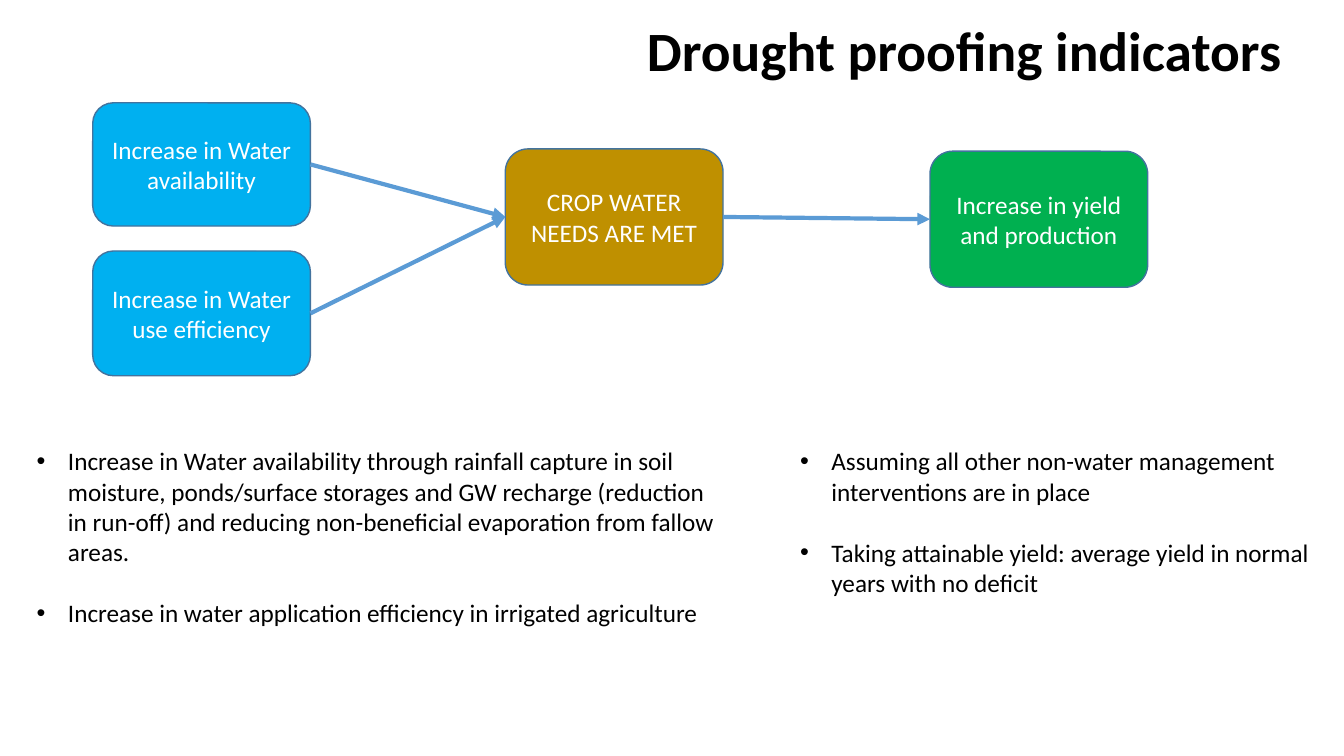
"""Build the slide on drought proofing indicators."""
from lxml.etree import SubElement
from pptx import Presentation
from pptx.dml.color import RGBColor
from pptx.enum.shapes import MSO_CONNECTOR, MSO_SHAPE
from pptx.enum.text import MSO_ANCHOR, MSO_AUTO_SIZE, PP_ALIGN
from pptx.oxml.ns import qn
from pptx.util import Inches, Pt


def color(code):
    return RGBColor.from_string(code)


def write(shape, *lines, size=18, ink="000000", bold=False, align=PP_ALIGN.LEFT,
          anchor=MSO_ANCHOR.TOP, bullet=False, gap=0, pitch=None):
    frame = shape.text_frame
    frame.word_wrap = True
    frame.auto_size = MSO_AUTO_SIZE.NONE
    frame.vertical_anchor = anchor
    for i, line in enumerate(lines):
        para = frame.add_paragraph() if i else frame.paragraphs[0]
        para.alignment = align
        para.line_spacing = pitch
        if i:
            para.space_before = Pt(gap)
        if bullet:
            props = para._p.get_or_add_pPr()
            props.set("marL", str(Inches(0.31)))
            props.set("indent", str(-Inches(0.31)))
            SubElement(props, qn("a:buFont"), typeface="Arial")
            SubElement(props, qn("a:buChar"), char="•")
        run = para.add_run()
        run.text = line
        font = run.font
        font.name, font.size, font.bold = "Calibri", Pt(size), bold
        font.color.rgb = color(ink)


deck = Presentation()
deck.slide_width, deck.slide_height = 12192000, 6858000
col, row = deck.slide_width // 1000, deck.slide_height // 1000
slide = deck.slides.add_slide(deck.slide_layouts[5])
shapes = slide.shapes

title = shapes.title
title.left, title.top = 98 * col, 24 * row
title.width, title.height = 863 * col, 109 * row
write(title, "Drought proofing indicators", size=39.6, bold=True,
      align=PP_ALIGN.RIGHT, pitch=0.9)

boxes = {}
for key, x, y, high, fill, text in (
    ("supply", 69, 136, 163, "00B0F0", "Increase in Water availability"),
    ("needs", 376, 197, 180, "BF9000", "CROP WATER NEEDS ARE MET"),
    ("yield", 692, 200, 180, "00B050", "Increase in yield and production"),
    ("use", 69, 332, 165, "00B0F0", "Increase in Water use efficiency"),
):
    box = shapes.add_shape(MSO_SHAPE.ROUNDED_RECTANGLE,
                           x * col, y * row, 162 * col, high * row)
    box.shadow.inherit = False
    box.fill.solid()
    box.fill.fore_color.rgb = color(fill)
    box.line.color.rgb = color("43739E")
    box.line.width = Pt(1)
    write(box, text, ink="FFFFFF", align=PP_ALIGN.CENTER, anchor=MSO_ANCHOR.MIDDLE)
    boxes[key] = box

left, right = 1, 3
for start, end in (("supply", "needs"), ("use", "needs"), ("needs", "yield")):
    arrow = shapes.add_connector(MSO_CONNECTOR.STRAIGHT, 0, 0, 0, 0)
    arrow.begin_connect(boxes[start], right)
    arrow.end_connect(boxes[end], left)
    arrow.line.color.rgb = color("5B9BD5")
    arrow.line.width = Pt(3)
    SubElement(arrow.line._get_or_add_ln(), qn("a:tailEnd"), type="triangle")
    SubElement(arrow._element.spPr, qn("a:effectLst"))

for x, wide, notes in (
    (20, 525, (
        "Increase in Water availability through rainfall capture in soil moisture, "
        "ponds/surface storages and GW recharge (reduction in run-off) and reducing "
        "non-beneficial evaporation from fallow areas.",
        "Increase in water application efficiency in irrigated agriculture")),
    (588, 397, (
        "Assuming all other non-water management interventions are in place",
        "Taking attainable yield: average yield in normal years with no deficit")),
):
    area = shapes.add_textbox(x * col, 583 * row, wide * col, 256 * row)
    write(area, *notes, bullet=True, gap=22)

deck.save("out.pptx")
